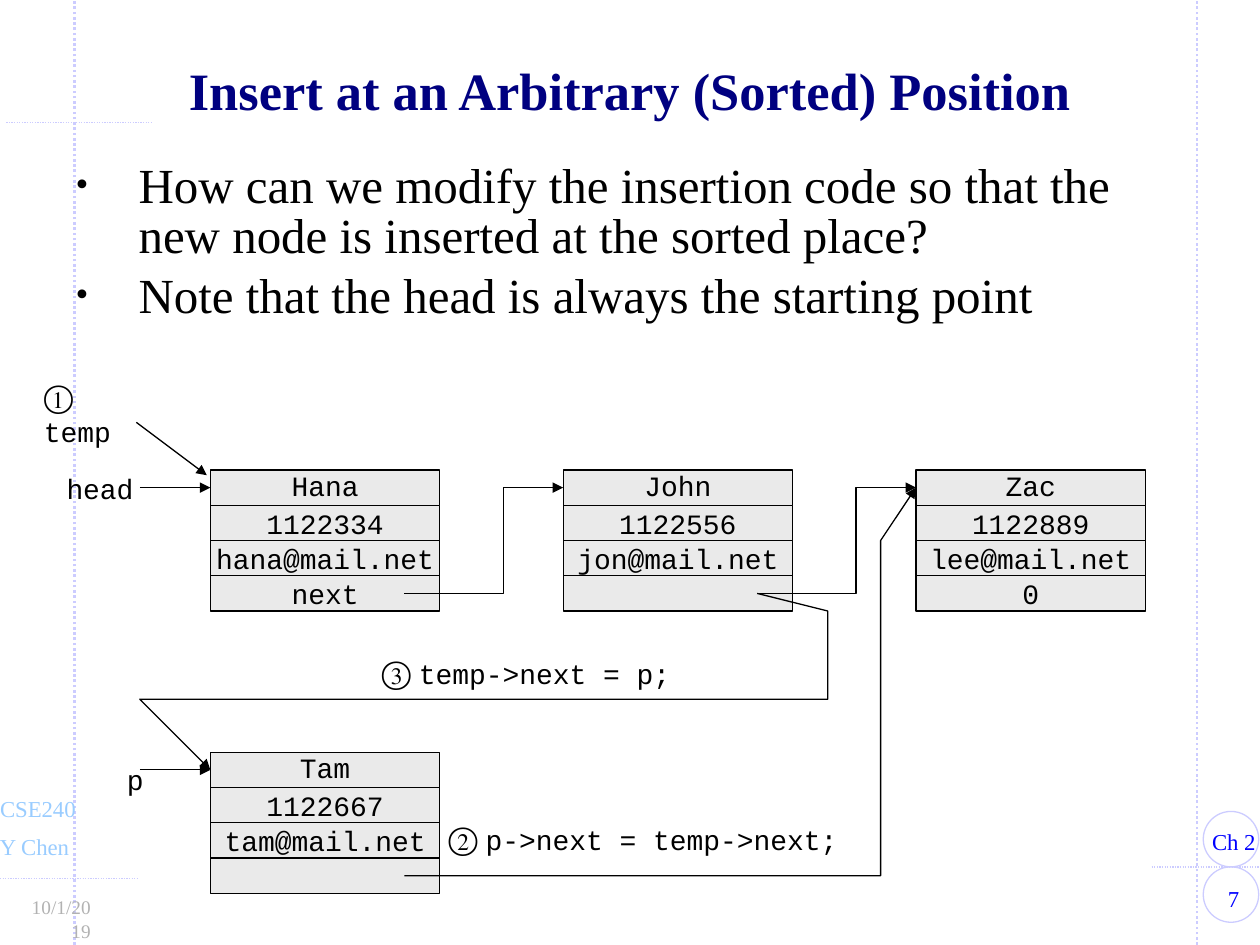
from dataclasses import dataclass

from lxml.etree import SubElement
from pptx import Presentation
from pptx.dml.color import RGBColor
from pptx.enum.dml import MSO_LINE
from pptx.enum.shapes import MSO_CONNECTOR, MSO_SHAPE
from pptx.enum.text import MSO_ANCHOR, PP_ALIGN
from pptx.oxml.ns import qn
from pptx.util import Inches, Pt


@dataclass(frozen=True)
class Theme:
    serif: str = "Times New Roman"
    mono: str = "Courier New"
    ink: str = "000000"
    title: str = "000080"
    badge: str = "0000FF"
    guide: str = "CCCCFF"
    course: str = "99CCFF"
    date: str = "B2B2B2"
    cell: str = "EAEAEA"
    title_size: int = 30
    body_size: int = 28
    step_size: int = 18
    code_size: int = 16
    footer_size: int = 13
    date_size: int = 11


THEME = Theme()
WIDTH, HEIGHT = 10, 7.5

# The diagram grid: one unit is the height of a node's field.
UNIT = 0.28
LEFT, TOP = 1.67, 3.73
NODE_COLUMNS = 6.5

NODES = [
    (0, 0, ["Hana", "1122334", "hana@mail.net", "next"]),
    (10, 0, ["John", "1122556", "jon@mail.net", ""]),
    (20, 0, ["Zac", "1122889", "lee@mail.net", "0"]),
    (0, 8, ["Tam", "1122667", "tam@mail.net", ""]),
]
POINTERS = [
    [(-2, 0.5), (0, 0.5)],
    [(-2, 8.5), (0, 8.5)],
    [(-2.1, -1.35), (-0.1, 0.15)],
]
LINKS = [
    [(5.5, 3.5), (8.3, 3.5), (8.3, 0.5), (10, 0.5)],
    [(15.5, 3.5), (18.3, 3.5), (18.3, 0.5), (20, 0.5)],
    [(15.5, 3.5), (17.5, 4), (17.5, 6.5), (-2, 6.5), (0, 8.5)],
    [(5.5, 11.5), (19, 11.5), (19, 2), (20, 0.5)],
]


def grid(column, row):
    """Slide position of a point of the diagram grid."""
    return Inches(LEFT + column * UNIT), Inches(TOP + row * UNIT)


def color(value):
    return RGBColor.from_string(value)


def set_font(font, name, size, ink=THEME.ink):
    font.name = name
    font.size = Pt(size)
    font.color.rgb = color(ink)


def set_line(shape, ink=THEME.ink, width=0.75):
    shape.line.color.rgb = color(ink)
    shape.line.width = Pt(width)


def add_arrowhead(shape):
    line = shape.line._get_or_add_ln()
    SubElement(line, qn("a:tailEnd"), type="triangle")


def add_box(page, left, top, width, height, wrap=False, inset=0.1):
    box = page.shapes.add_textbox(*map(Inches, (left, top, width, height)))
    frame = box.text_frame
    frame.word_wrap = wrap
    frame.margin_left = frame.margin_right = Inches(inset)
    return frame


def add_label(page, text, place, size, ink, align=PP_ALIGN.LEFT, wrap=False):
    """One paragraph of serif text; left-aligned ones may run to the box's right edge."""
    frame = add_box(page, *place, wrap=wrap, inset=0.11)
    if align == PP_ALIGN.LEFT:
        frame.margin_right = 0
    para = frame.paragraphs[0]
    para.text = text
    para.alignment = align
    set_font(para.font, THEME.serif, size, ink)
    return para


def add_code(page, text, place, step="", wrap=False):
    """Code in a text box, after its circled step number if it has one."""
    para = add_box(page, *place, wrap=wrap).paragraphs[0]
    if step:
        span = para.add_run()
        span.text = step + " "
        set_font(span.font, THEME.serif, THEME.step_size)
    span = para.add_run()
    span.text = text
    set_font(span.font, THEME.mono, THEME.code_size)


def add_straight(page, start, end, ink, width):
    line = page.shapes.add_connector(MSO_CONNECTOR.STRAIGHT, *start, *end)
    set_line(line, ink, width)
    SubElement(line._element.spPr, qn("a:effectLst"))
    return line


def add_guide(page, start, end, width=0.75):
    line = add_straight(page, map(Inches, start), map(Inches, end), THEME.guide, width)
    line.line.dash_style = MSO_LINE.ROUND_DOT


def add_node(page, column, row, fields):
    for index, text in enumerate(fields):
        cell = page.shapes.add_shape(
            MSO_SHAPE.RECTANGLE, *grid(column, row + index),
            Inches(NODE_COLUMNS * UNIT), Inches(UNIT))
        cell.shadow.inherit = False
        cell.fill.solid()
        cell.fill.fore_color.rgb = color(THEME.cell)
        set_line(cell)
        if text:
            frame = cell.text_frame
            frame.word_wrap = False
            frame.vertical_anchor = MSO_ANCHOR.MIDDLE
            para = frame.paragraphs[0]
            para.text = text
            para.alignment = PP_ALIGN.CENTER
            para.line_spacing = 0.9 if index == 0 else 1.0
            set_font(para.font, THEME.mono, THEME.code_size)


def add_link(page, points):
    """A bent arrow through grid points."""
    start, *rest = [grid(*point) for point in points]
    builder = page.shapes.build_freeform(*start)
    builder.add_line_segments(rest, close=False)
    link = builder.convert_to_shape()
    link.shadow.inherit = False
    link.fill.background()
    set_line(link)
    add_arrowhead(link)


def add_frame(page):
    for x in (0.59, 9.5):
        add_guide(page, (x, HEIGHT), (x, 0), 1.5)
    for left, right, y in ((0, 1.09, 6.97), (9.14, WIDTH, 6.88), (0.05, 1.2, 0.97)):
        add_guide(page, (left, y), (right, y))
    for top in (6.44, 6.88):
        ring = page.shapes.add_shape(
            MSO_SHAPE.OVAL, *map(Inches, (9.55, top, 0.44, 0.44)))
        ring.shadow.inherit = False
        ring.fill.background()
        set_line(ring, THEME.guide)
    size = THEME.footer_size
    add_label(page, "7", (9.5, 6.97, 0.58, 0.32), size, THEME.badge, PP_ALIGN.CENTER)
    add_label(page, "Ch 2", (9.51, 6.52, 0.56, 0.32), size, THEME.badge)
    add_label(page, "CSE240", (-0.11, 6.26, 0.81, 0.32), size, THEME.course)
    add_label(page, "Y Chen", (-0.11, 6.56, 0.77, 0.32), size, THEME.course)
    add_label(page, "10/1/2019", (0.08, 7.06, 0.75, 0.29), THEME.date_size,
              THEME.date, PP_ALIGN.RIGHT, wrap=True)


def add_bullets(page, items):
    frame = add_box(page, 0.49, 1.25, 9, 1.39, wrap=True, inset=0.11)
    for index, item in enumerate(items):
        para = frame.add_paragraph() if index else frame.paragraphs[0]
        para.text = item
        para.line_spacing = 0.85
        if index:
            para.space_before = Pt(0.2 * THEME.body_size)
        properties = para._p.get_or_add_pPr()
        properties.set("marL", str(Inches(0.5)))
        properties.set("indent", str(Inches(-0.5)))
        SubElement(properties, qn("a:buSzPct"), val="75000")
        SubElement(properties, qn("a:buFont"), typeface=THEME.serif)
        SubElement(properties, qn("a:buChar"), char="•")
        set_font(para.font, THEME.serif, THEME.body_size)


def main():
    deck = Presentation()
    deck.slide_width, deck.slide_height = Inches(WIDTH), Inches(HEIGHT)
    page = deck.slides.add_slide(deck.slide_layouts[6])
    add_frame(page)
    title = add_label(page, "Insert at an Arbitrary (Sorted) Position",
                      (0.73, 0.41, 8.54, 0.62), THEME.title_size, THEME.title,
                      PP_ALIGN.CENTER, wrap=True)
    title.font.bold = True
    add_bullets(page, [
        "How can we modify the insertion code so that the new node is "
        "inserted at the sorted place?",
        "Note that the head is always the starting point",
    ])
    for node in NODES:
        add_node(page, *node)
    for start, end in POINTERS:
        add_arrowhead(add_straight(page, grid(*start), grid(*end), THEME.ink, 0.75))
    for points in LINKS:
        add_link(page, points)
    add_code(page, "head", (0.43, 3.69, 0.74, 0.37))
    add_code(page, "p", (0.91, 6, 0.34, 0.37))
    add_code(page, "temp", (0.25, 2.94, 1, 0.4), "①", wrap=True)
    add_code(page, "p->next = temp->next;", (3.46, 6.45, 3.29, 0.4), "②")
    add_code(page, "temp->next = p;", (2.93, 5.13, 2.49, 0.4), "③")
    deck.save("out.pptx")


if __name__ == "__main__":
    main()
